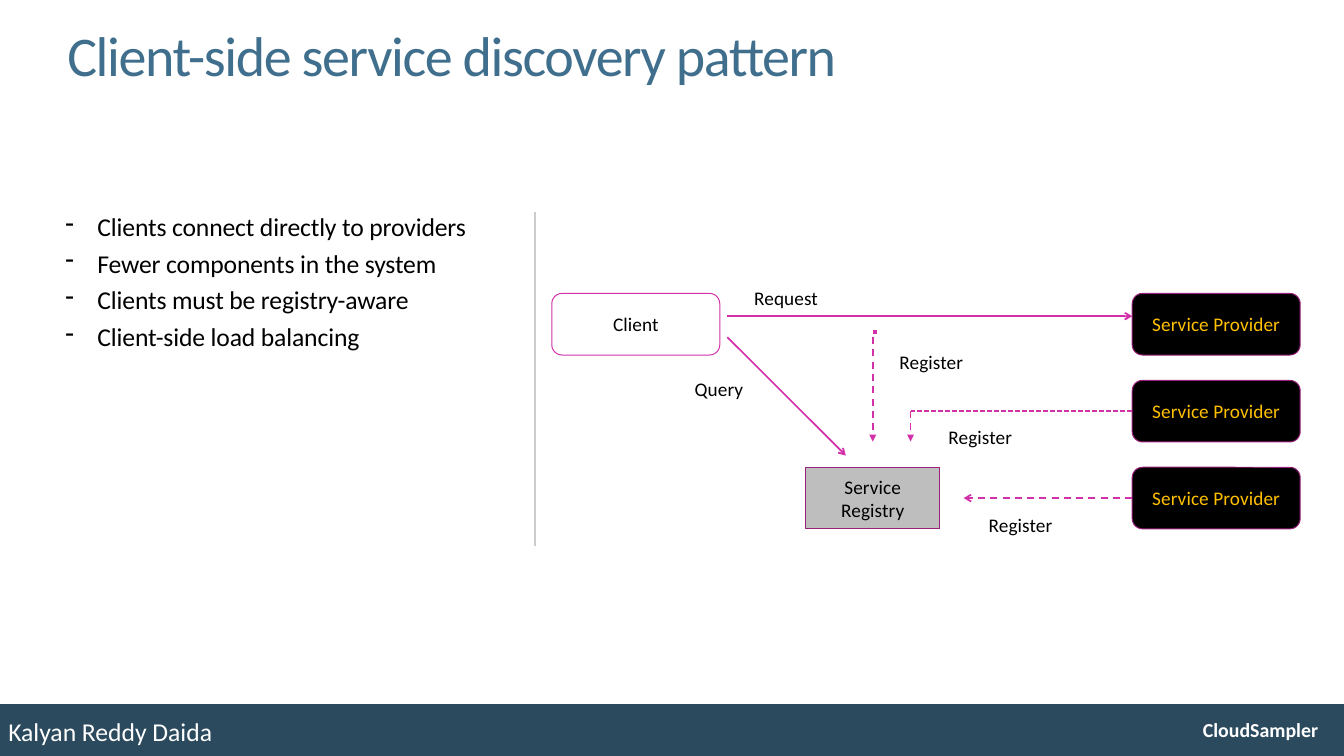
import pptx
import pptx.util
import pptx.dml.color
import pptx.enum.dml
import pptx.enum.shapes
import pptx.enum.text
import pptx.oxml.ns
from lxml import etree

Pt = pptx.util.Pt
RGBColor = pptx.dml.color.RGBColor
Shape = pptx.enum.shapes.MSO_SHAPE
Align = pptx.enum.text.PP_ALIGN
Anchor = pptx.enum.text.MSO_ANCHOR
Dash = pptx.enum.dml.MSO_LINE
qn = pptx.oxml.ns.qn

FONT = "Calibri"
BLACK = RGBColor(0x00, 0x00, 0x00)
WHITE = RGBColor(0xFF, 0xFF, 0xFF)
TITLE_BLUE = RGBColor(0x40, 0x6F, 0x8D)
FOOTER_BLUE = RGBColor(0x2B, 0x4A, 0x5E)
MAGENTA = RGBColor(0xD2, 0x31, 0xAA)
PLUM = RGBColor(0x9A, 0x21, 0x7B)
AMBER = RGBColor(0xFF, 0xC0, 0x00)
GREY = RGBColor(0xBE, 0xBE, 0xBE)
DIVIDER_GREY = RGBColor(0xCC, 0xCC, 0xCC)

DIAGRAM_SIZE = 16.5
POINTS = [
    "Clients connect directly to providers",
    "Fewer components in the system",
    "Clients must be registry-aware",
    "Client-side load balancing",
]


def add_run(paragraph, text, size, color, spacing=0, bold=False):
    run = paragraph.add_run()
    run.text = text
    run.font.name = FONT
    run.font.size = Pt(size)
    run.font.bold = bold
    run.font.color.rgb = color
    if spacing:
        run.font._element.set("spc", str(round(spacing * 100)))


def set_frame(frame, margins=(0, 0, 0, 0), anchor=Anchor.TOP, wrap=True):
    frame.auto_size = pptx.enum.text.MSO_AUTO_SIZE.NONE
    frame.word_wrap = wrap
    frame.vertical_anchor = anchor
    (frame.margin_left, frame.margin_top,
     frame.margin_right, frame.margin_bottom) = map(Pt, margins)


def add_text(slide, left, top, width, height, **frame_options):
    frame = slide.shapes.add_textbox(Pt(left), Pt(top), Pt(width), Pt(height)).text_frame
    set_frame(frame, **frame_options)
    return frame


def add_node(slide, kind, left, top, width, height, lines, fill, line, color):
    node = slide.shapes.add_shape(kind, Pt(left), Pt(top), Pt(width), Pt(height))
    node.shadow.inherit = False
    if fill is None:
        node.fill.background()
    else:
        node.fill.solid()
        node.fill.fore_color.rgb = fill
    if line is None:
        node.line.fill.background()
    else:
        node.line.color.rgb = line
        node.line.width = Pt(0.84)
    set_frame(node.text_frame, anchor=Anchor.MIDDLE)
    for index, text in enumerate(lines):
        paragraph = node.text_frame.paragraphs[0] if index == 0 else node.text_frame.add_paragraph()
        paragraph.alignment = Align.CENTER
        add_run(paragraph, text, DIAGRAM_SIZE, color, 0.1)
    return node


def add_line(slide, start, end, color=MAGENTA, width=1.5, dash=None, head=None):
    connector = slide.shapes.add_connector(
        pptx.enum.shapes.MSO_CONNECTOR.STRAIGHT, *map(Pt, (*start, *end)))
    connector.line.color.rgb = color
    connector.line.width = Pt(width)
    if dash:
        connector.line.dash_style = dash
    if head:
        tail = etree.SubElement(connector.line._get_or_add_ln(), qn("a:tailEnd"))
        tail.set("type", head)
    etree.SubElement(connector._element.spPr, qn("a:effectLst"))
    return connector


def build_title(slide, left, top, width, height):
    title = slide.shapes.title
    title.left, title.top, title.width, title.height = map(Pt, (left, top, width, height))
    set_frame(title.text_frame, anchor=Anchor.MIDDLE)
    heading = title.text_frame.paragraphs[0]
    heading.alignment = Align.CENTER
    add_run(heading, "Client-side service discovery pattern", 48, TITLE_BLUE, -1.2)


def build_points(slide, left, top, width, height):
    frame = add_text(slide, left, top, width, height, margins=(0, 5.8, 0, 0))
    for index, text in enumerate(POINTS):
        point = frame.paragraphs[0] if index == 0 else frame.add_paragraph()
        point.space_before = Pt(5)
        properties = point._p.get_or_add_pPr()
        properties.set("marL", str(Pt(28)))
        properties.set("indent", str(-Pt(27.5)))
        etree.SubElement(properties, qn("a:buChar")).set("char", "-")
        add_run(point, text, 22, BLACK, -0.1)


def build_diagram(slide, left, top, width, height):
    node_width, node_height = 144, 52.8
    pitch = (height - node_height) / 2
    provider_left = left + width - node_width
    registry_left, registry_width = left + 217.5, 115.2
    registry_middle = registry_left + registry_width / 2
    flow_left = left + 150.5
    request_y, query_y = top + 19.5, top + 37.5
    arrows_bottom = top + 127

    # Client, registry and the three providers
    add_node(slide, Shape.ROUNDED_RECTANGLE, left, top, node_width, node_height,
             ["Client"], None, MAGENTA, BLACK)
    add_node(slide, Shape.RECTANGLE, registry_left, top + 2 * pitch, registry_width, node_height,
             ["Service", "Registry"], GREY, PLUM, BLACK)
    providers = [
        add_node(slide, Shape.ROUNDED_RECTANGLE, provider_left, top + row * pitch,
                 node_width, node_height, ["Service Provider"], BLACK, PLUM, AMBER)
        for row in range(3)
    ]

    # Request and query
    add_line(slide, (flow_left, request_y), (provider_left, request_y), head="arrow")
    add_line(slide, (flow_left, query_y), (flow_left + 101.5, query_y + 101.5), head="arrow")

    # Registrations
    add_line(slide, (registry_middle, top + 33), (registry_middle + 4, top + 33), width=3)
    add_line(slide, (registry_middle, query_y), (registry_middle, arrows_bottom),
             dash=Dash.DASH, head="triangle")
    corner = (left + 307.5, top + pitch + node_height / 2)
    second = add_line(slide, (provider_left, corner[1]), corner, dash=Dash.SQUARE_DOT)
    second.begin_connect(providers[1], 1)
    add_line(slide, corner, (corner[0], arrows_bottom), dash=Dash.DASH, head="triangle")
    third_y = top + 2 * pitch + node_height / 2
    third = add_line(slide, (provider_left, third_y), (left + 353, third_y),
                     dash=Dash.DASH, head="arrow")
    third.begin_connect(providers[2], 1)

    # Labels of the arrows
    for text, across, down in [("Request", 173.5, -9), ("Query", 122.5, 69.5),
                               ("Register", 298, 46.5), ("Register", 340, 110.5),
                               ("Register", 374.5, 185.5)]:
        label = add_text(slide, left + across, top + down, 58, 22,
                         margins=(0, 2.6, 0, 0), wrap=False)
        add_run(label.paragraphs[0], text, DIAGRAM_SIZE, BLACK, 0.1)


def build_footer(slide, left, top, width, height):
    add_node(slide, Shape.RECTANGLE, left, top, width, height, [], FOOTER_BLUE, None, WHITE)
    author = add_text(slide, left, top + 6.5, 389, 34.5, margins=(7.2, 3.6, 7.2, 3.6))
    add_run(author.paragraphs[0], "Kalyan Reddy Daida", 22, WHITE)
    brand = add_text(slide, left + width - 140, top + 4.5, 137, 34.5, anchor=Anchor.MIDDLE)
    brand.paragraphs[0].alignment = Align.CENTER
    add_run(brand.paragraphs[0], "CloudSampler", 17, WHITE, bold=True)


def main():
    presentation = pptx.Presentation()
    presentation.slide_width, presentation.slide_height = Pt(1152), Pt(648)
    slide = presentation.slides.add_slide(presentation.slide_layouts[5])
    build_footer(slide, 0, 603.5, 1152, 44.5)
    build_title(slide, 56, 16, 662.5, 60)
    build_points(slide, 55.5, 175, 349, 127.5)
    add_line(slide, (458.5, 182), (458.5, 468), DIVIDER_GREY, 1.8)
    build_diagram(slide, 473, 251.5, 641.5, 201.8)
    presentation.save("out.pptx")


if __name__ == "__main__":
    main()
